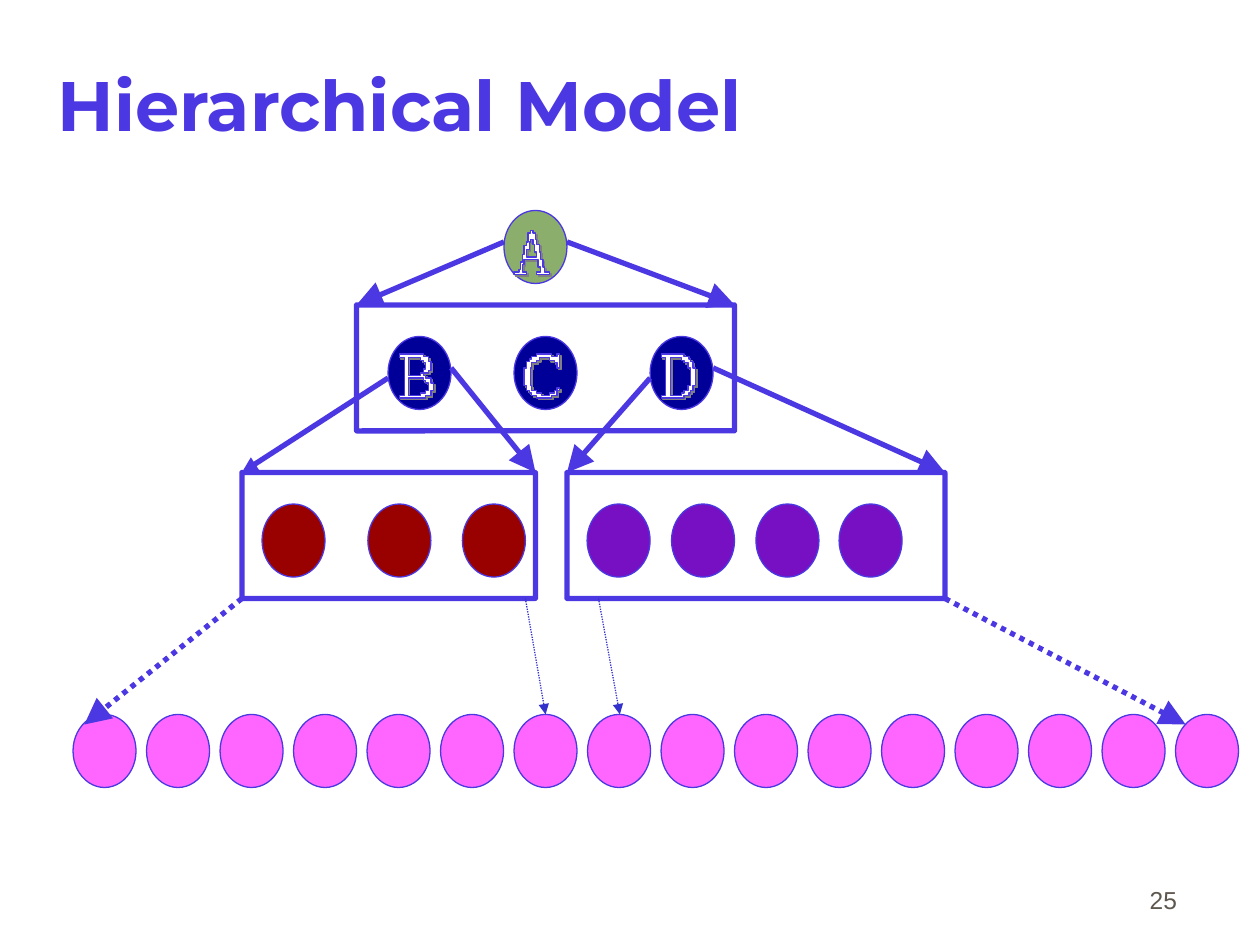
from lxml import etree
from pptx import Presentation
from pptx.dml.color import RGBColor
from pptx.enum.dml import MSO_LINE_DASH_STYLE as Dash
from pptx.enum.shapes import MSO_CONNECTOR as Connector, MSO_SHAPE as Shape
from pptx.enum.text import MSO_ANCHOR as Anchor, PP_ALIGN as Align
from pptx.oxml.ns import qn
from pptx.util import Inches, Pt

BLUE = "4C38E2"
DOT_BLUE = "3333CC"
NODE_WIDTH, NODE_HEIGHT = 0.5, 0.58
LEAF_COUNT, LEAF_LEFT, LEAF_LAST = 16, 0.58, 9.33

NODE_ROWS = [
    ("990000", 4, [2.08, 2.92, 3.67]),
    ("7610C2", 4, [4.66, 5.33, 6, 6.66]),
    ("8BAE6C", 1.67, [4]),
    ("000099", 2.67, [3.08, 4.08, 5.16]),
    ("FF66FF", 5.67, [LEAF_LEFT + i * (LEAF_LAST - LEAF_LEFT) / (LEAF_COUNT - 1)
                      for i in range(LEAF_COUNT)]),
]
FRAMES = [(4.5, 3.75, 3, 1), (1.92, 3.75, 2.33, 1), (2.83, 2.42, 3, 1)]

SOLID_ARROWS = [
    ((3.08, 3), (1.92, 3.75), "med"),
    ((3.58, 2.92), (4.25, 3.75), "lg"),
    ((5.16, 3), (4.5, 3.75), "lg"),
    ((5.66, 2.92), (7.5, 3.75), "lg"),
    ((4, 1.92), (2.83, 2.42), "lg"),
    ((4.5, 1.92), (5.83, 2.42), "lg"),
]
DOTTED_ARROWS = [
    ((1.92, 4.75), (0.67, 5.75), "lg", BLUE, 3),
    ((7.5, 4.75), (9.41, 5.75), "lg", BLUE, 3),
    ((4.17, 4.75), (4.33, 5.67), "med", DOT_BLUE, 0.75),
    ((4.75, 4.75), (4.92, 5.67), "med", DOT_BLUE, 0.75),
]

LETTERS = [
    (4.08, 1.83, [
        [(13, 7), (15, 11), (16, 17), (18, 21), (10, 15), (12, 9)],
        [(13, 0), (15, 2), (17, 7), (18, 11), (20, 17), (21, 23), (23, 29), (24, 33),
         (28, 35), (18, 33), (21, 29), (19, 23), (8, 27), (7, 33), (10, 35), (0, 33),
         (4, 31), (5, 25), (7, 19), (8, 12), (10, 9), (11, 2)],
    ]),
    (3.17, 2.81, [
        [(7, 3), (17, 5), (19, 7), (21, 12), (19, 15), (17, 17)],
        [(7, 19), (19, 21), (21, 23), (23, 29), (21, 31), (17, 33)],
        [(0, 0), (19, 2), (23, 6), (25, 13), (23, 15), (19, 17), (21, 19), (25, 23),
         (27, 29), (25, 33), (21, 35), (0, 33), (4, 3)],
    ]),
    (4.16, 2.81, [
        [(10, 0), (22, 2), (26, 0), (28, 11), (26, 7), (24, 5), (20, 3), (12, 5),
         (10, 7), (6, 11), (5, 25), (6, 29), (10, 31), (14, 33), (20, 31), (24, 29),
         (26, 27), (28, 29), (26, 33), (22, 35), (10, 33), (6, 31), (4, 29), (2, 25),
         (0, 11), (2, 6), (4, 4), (6, 2)],
    ]),
    (5.25, 2.81, [
        [(7, 3), (16, 5), (18, 7), (21, 11), (23, 25), (21, 29), (18, 31), (16, 33)],
        [(0, 0), (18, 2), (22, 4), (23, 6), (25, 11), (27, 25), (25, 29), (23, 31),
         (22, 33), (18, 35), (0, 33), (3, 3)],
    ]),
]


def color(value):
    return RGBColor.from_string(value)


def style(shape, fill, line_width):
    shape.shadow.inherit = False
    if fill:
        shape.fill.solid()
        shape.fill.fore_color.rgb = color(fill)
    else:
        shape.fill.background()
    shape.line.color.rgb = color(BLUE)
    shape.line.width = Pt(line_width)


def add_node(page, left, top, fill):
    node = page.shapes.add_shape(Shape.OVAL, Inches(left), Inches(top),
                                 Inches(NODE_WIDTH), Inches(NODE_HEIGHT))
    style(node, fill, 0.75)


def add_frame(page, bounds):
    frame = page.shapes.add_shape(Shape.ROUNDED_RECTANGLE, *map(Inches, bounds))
    frame.adjustments[0] = 0.002
    style(frame, None, 3)


def add_arrow(page, start, end, head, line_color=BLUE, width=3, dash=None):
    arrow = page.shapes.add_connector(Connector.STRAIGHT, *map(Inches, start + end))
    arrow.line.color.rgb = color(line_color)
    arrow.line.width = Pt(width)
    if dash:
        arrow.line.dash_style = dash
    line = arrow.line._get_or_add_ln()
    etree.SubElement(line, qn("a:tailEnd"), type="triangle", w=head, len=head)
    etree.SubElement(arrow._element.spPr, qn("a:effectLst"))


def stair_points(corners):
    points = []
    for (x, y), (next_x, _) in zip(corners, corners[1:] + corners[:1]):
        points += [(x, y), (next_x, y)]
    return points


def add_letter(page, left, top, contours):
    builder = page.shapes.build_freeform(*contours[0][0], scale=Inches(0.01))
    for index, corners in enumerate(contours):
        points = stair_points(corners)
        if index:
            builder.move_to(*points[0])
        builder.add_line_segments(points[1:], close=True)
    letter = builder.convert_to_shape(Inches(left), Inches(top))
    style(letter, "FFFFFF", 0.75)
    effects = letter._element.spPr.find(qn("a:effectLst"))
    shadow = etree.SubElement(effects, qn("a:outerShdw"), blurRad="0",
                              dist=str(Pt(1.4)), dir="2700000")
    etree.SubElement(shadow, qn("a:srgbClr"), val="808080")


def add_text(page, bounds, text, font, size, text_color, anchor, align, side, before, bold=False):
    box = page.shapes.add_textbox(*map(Inches, bounds))
    frame = box.text_frame
    frame.word_wrap = True
    frame.vertical_anchor = anchor
    frame.margin_left = frame.margin_right = Inches(side)
    para = frame.paragraphs[0]
    para.text = text
    para.alignment = align
    para.space_before = Pt(before)
    para.font.name = font
    para.font.size = Pt(size)
    para.font.bold = bold
    para.font.color.rgb = color(text_color)


def main():
    deck = Presentation()
    deck.slide_width, deck.slide_height = Inches(10), Inches(7.5)
    page = deck.slides.add_slide(deck.slide_layouts[6])
    add_text(page, (0.44, 0.2, 8.5, 1.25), "Hierarchical Model", "Montserrat", 40, BLUE,
             Anchor.MIDDLE, Align.LEFT, 0.02, 9.9, bold=True)
    for fill, top, lefts in NODE_ROWS:
        for left in lefts:
            add_node(page, left, top, fill)
    for bounds in FRAMES:
        add_frame(page, bounds)
    for arrow in SOLID_ARROWS:
        add_arrow(page, *arrow)
    for letter in LETTERS:
        add_letter(page, *letter)
    for arrow in DOTTED_ARROWS:
        add_arrow(page, *arrow, dash=Dash.ROUND_DOT)
    add_text(page, (7.36, 6.81, 2.08, 0.5), "25", "Arial", 14, "5E574E",
             Anchor.BOTTOM, Align.RIGHT, 0.1, 8.8)
    deck.save("out.pptx")


if __name__ == "__main__":
    main()
